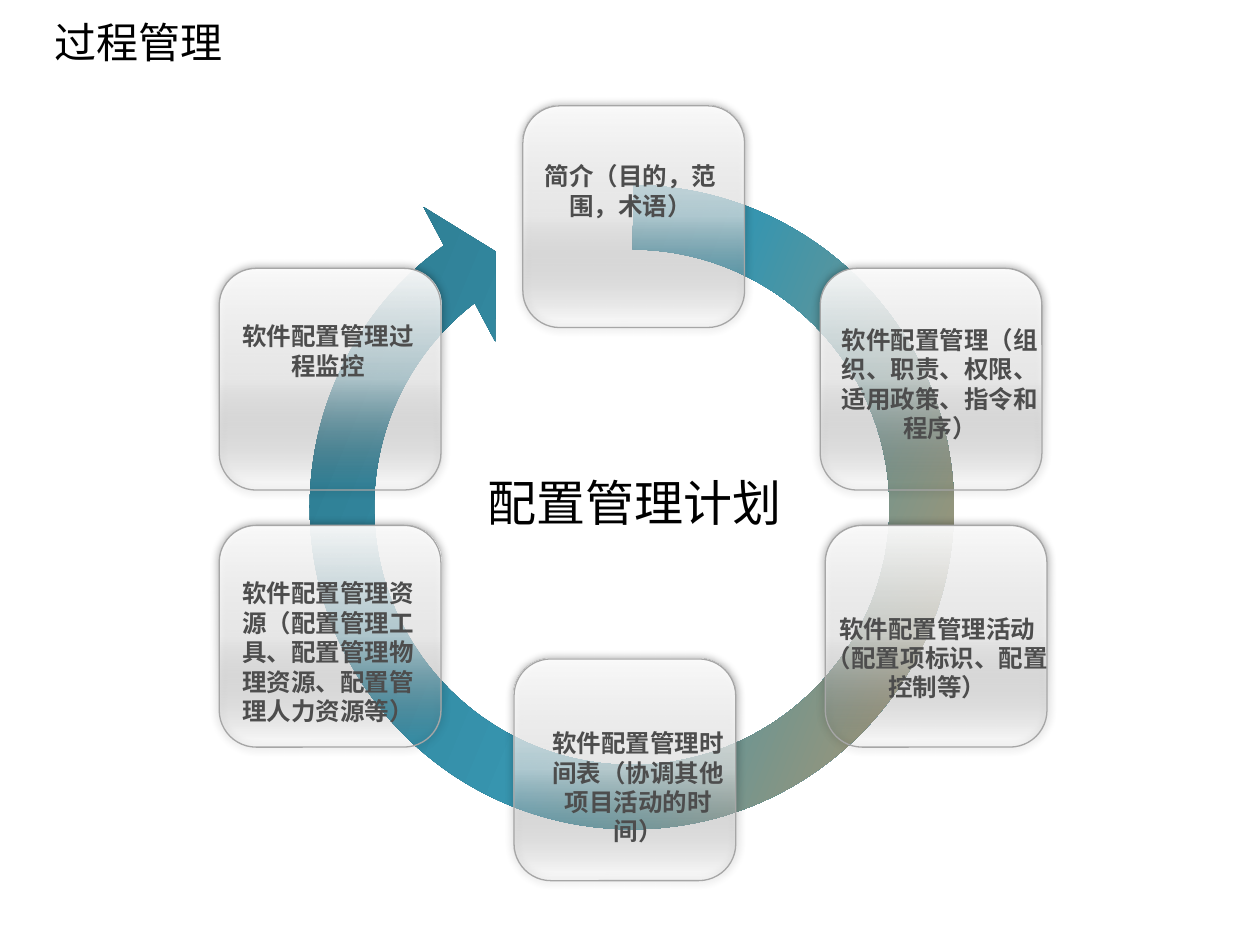
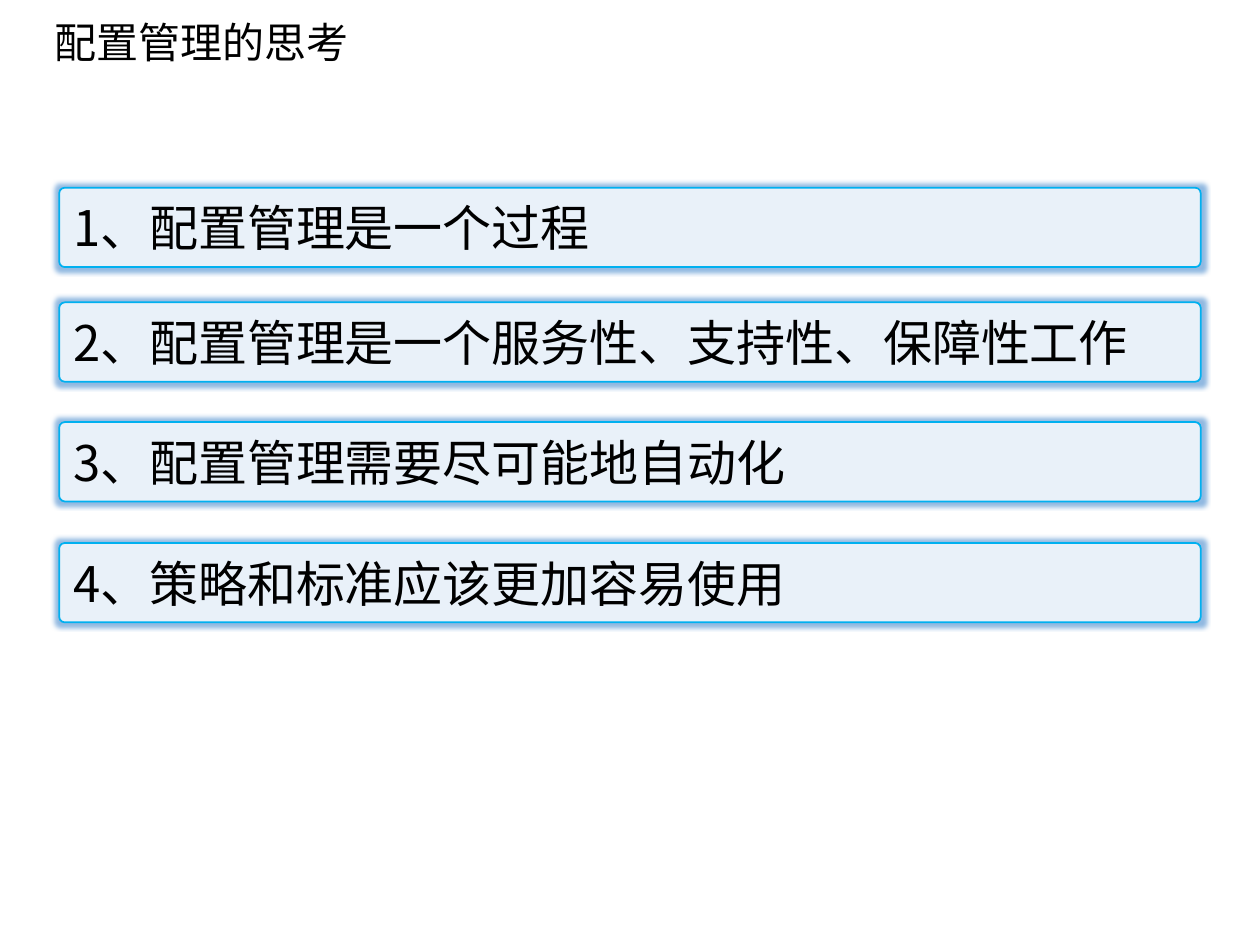
"""Build two slides on configuration management: a plan cycle and a list of thoughts."""
from lxml.etree import fromstring
from pptx import Presentation
from pptx.dml.color import RGBColor
from pptx.enum.shapes import MSO_SHAPE
from pptx.enum.text import MSO_ANCHOR, MSO_AUTO_SIZE, PP_ALIGN
from pptx.oxml.ns import nsdecls
from pptx.util import Inches, Pt

BLACK, GREY, EDGE, CYAN = "000000", "4D4D4D", "A6A6A6", "00B0F0"
HEAD_FONT, BODY_FONT = "Noto Sans CJK SC", "Calibri"
CARD_SIZE = 1.76
ARROW_STOPS = [(0, "27697B", 100), (50, "3795AF", 100), (100, "F79646", 100)]
CARD_STOPS = [(0, "979797", 0), (50, "FFFFFF", 62), (100, "FFFFFF", 95)]
CARDS = [
    ((4.15, 0.84), (4.17, 1.23, 1.67, 0.57), "简介（目的，范围，术语）"),
    ((6.51, 2.13), (6.55, 2.53, 1.82, 1.04),
     "软件配置管理（组织、职责、权限、适用政策、指令和程序）"),
    ((6.55, 4.17), (6.46, 4.82, 1.96, 0.81),
     "软件配置管理活动（配置项标识、配置控制等）"),
    ((4.08, 5.23), (4.22, 5.73, 1.69, 1.04),
     "软件配置管理时间表（协调其他项目活动的时间）"),
    ((1.74, 4.17), (1.76, 4.54, 1.69, 1.28),
     "软件配置管理资源（配置管理工具、配置管理物理资源、配置管理人力资源等）"),
    ((1.74, 2.13), (1.76, 2.5, 1.69, 0.57), "软件配置管理过程监控"),
]
BARS = [
    (1.49, "1、配置管理是一个过程"),
    (2.4, "2、配置管理是一个服务性、支持性、保障性工作"),
    (3.35, "3、配置管理需要尽可能地自动化"),
    (4.31, "4、策略和标准应该更加容易使用"),
]


def color(code):
    """Turn a hex string into a colour."""
    return RGBColor.from_string(code)


def clear(code, alpha):
    """Give the XML of a colour with its opacity in percent."""
    return f'<a:srgbClr val="{code}"><a:alpha val="{alpha * 1000}"/></a:srgbClr>'


def node(tag, inner, attrs=""):
    """Parse one drawing element."""
    return fromstring(f'<a:{tag} {nsdecls("a")} {attrs}>{inner}</a:{tag}>')


def blend(stops, angle):
    """Give a linear gradient fill."""
    marks = "".join(f'<a:gs pos="{pos * 1000}">{clear(code, alpha)}</a:gs>'
                    for pos, code, alpha in stops)
    inner = f'<a:gsLst>{marks}</a:gsLst><a:lin ang="{angle * 60000}" scaled="0"/>'
    return node("gradFill", inner, 'rotWithShape="1"')


def add_shape(slide, kind, box, fill, line=None, width=1, effect=None):
    """Add a preset shape with a fill element, an outline and an effect."""
    shape = slide.shapes.add_shape(kind, *map(Inches, box))
    shape.shadow.inherit = False
    props = shape.element.spPr
    props.prstGeom.addnext(fill)
    if line:
        shape.line.color.rgb = color(line)
        shape.line.width = Pt(width)
    else:
        shape.line.fill.background()
    if effect is not None:
        props.find("{*}effectLst").append(effect)
    return shape


def write(frame, text, size, font, code=BLACK, bold=False, align=PP_ALIGN.LEFT):
    """Put one formatted paragraph in a frame."""
    frame.word_wrap = True
    frame.text = text
    line = frame.paragraphs[0]
    line.alignment = align
    line.font.size, line.font.name, line.font.bold = Pt(size), font, bold
    line.font.color.rgb = color(code)


def add_label(slide, box, text, size, code=BLACK, bold=False):
    """Add a centred text box."""
    frame = slide.shapes.add_textbox(*map(Inches, box)).text_frame
    write(frame, text, size, BODY_FONT, code, bold, PP_ALIGN.CENTER)
    frame.auto_size = MSO_AUTO_SIZE.SHAPE_TO_FIT_TEXT


def add_slide(deck, text):
    """Add a slide with the shared title style."""
    slide = deck.slides.add_slide(deck.slide_layouts[5])
    title = slide.shapes.title
    title.left, title.top, title.width, title.height = map(
        Inches, (0.33, -0.03, 9, 0.72))
    write(title.text_frame, text, 24, HEAD_FONT)
    title.text_frame.vertical_anchor = MSO_ANCHOR.MIDDLE
    title.text_frame.auto_size = MSO_AUTO_SIZE.NONE
    return slide


def add_arrow(slide):
    """Add the round arrow behind the cards."""
    arrow = add_shape(slide, MSO_SHAPE.CIRCULAR_ARROW, (2.11, 1.12, 5.81, 5.81),
                      blend(ARROW_STOPS, 135))
    arrow.rotation = 247.7
    for spot, value in enumerate((0.088, 5.061, 207.473, 13.524, 0.104)):
        arrow.adjustments[spot] = value


def add_card(slide, place):
    """Add a glassy card with a soft shadow."""
    shade = node("outerShdw", clear(BLACK, 40),
                 f'blurRad="{Pt(5)}" dist="0" dir="0" algn="ctr" rotWithShape="0"')
    add_shape(slide, MSO_SHAPE.ROUNDED_RECTANGLE, (*place, CARD_SIZE, CARD_SIZE),
              blend(CARD_STOPS, 270), EDGE, 0.75, shade)


def add_bar(slide, top, text):
    """Add a glowing bar with its text."""
    glow = node("glow", clear("91B9E1", 100), f'rad="{Pt(5)}"')
    bar = add_shape(slide, MSO_SHAPE.ROUNDED_RECTANGLE, (0.47, top, 9.06, 0.63),
                    node("solidFill", clear("FFFFFF", 80)), CYAN, 1, glow)
    bar.adjustments[0] = 0.07
    write(bar.text_frame, text, 28, HEAD_FONT)
    bar.text_frame.vertical_anchor = MSO_ANCHOR.MIDDLE


def main():
    """Build and save the deck."""
    deck = Presentation()
    deck.slide_width, deck.slide_height = Inches(10), Inches(7.5)

    cycle = add_slide(deck, "过程管理")
    add_arrow(cycle)
    for place, _, _ in CARDS:
        add_card(cycle, place)
    add_label(cycle, (3.74, 3.7, 2.59, 0.57), "配置管理计划", 28)
    for _, box, text in CARDS:
        add_label(cycle, box, text, 14, GREY, True)

    ideas = add_slide(deck, "配置管理的思考")
    for top, text in BARS:
        add_bar(ideas, top, text)

    deck.save("out.pptx")


if __name__ == "__main__":
    main()
